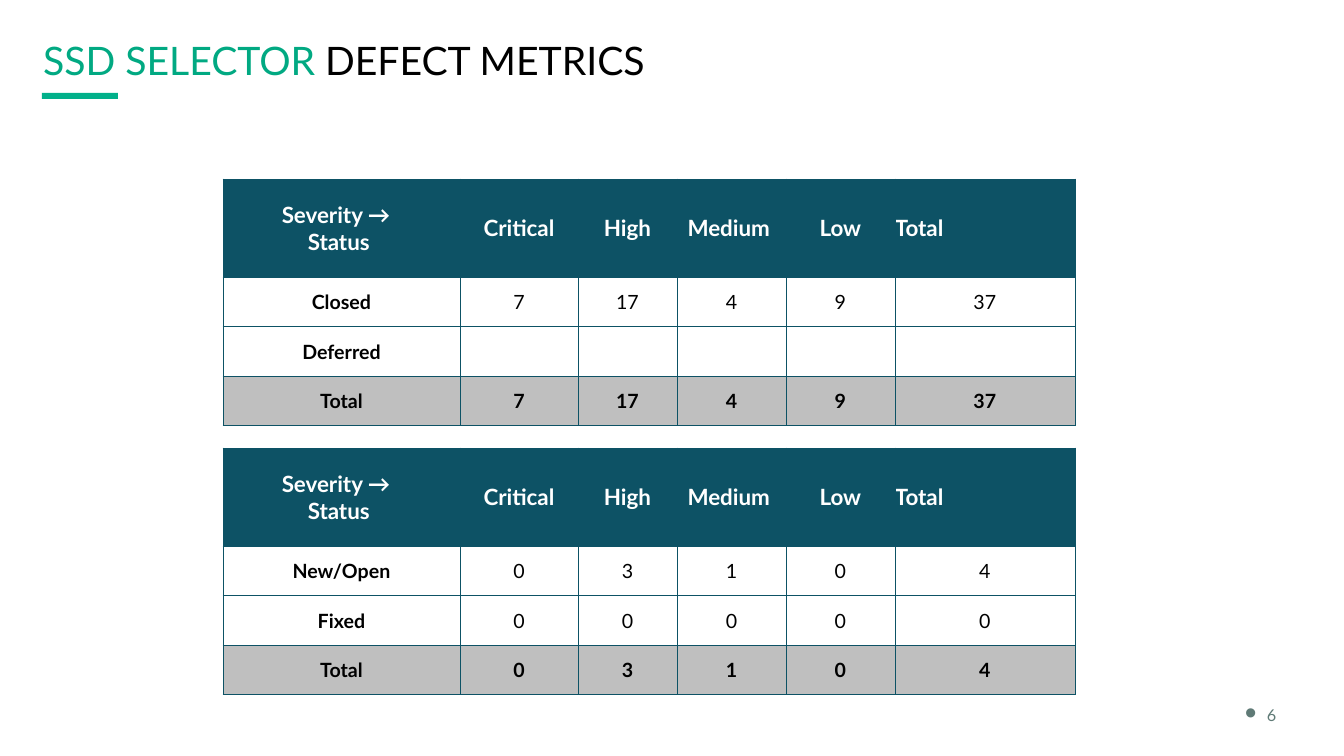
import pptx
import pptx.util
import pptx.dml.color
import pptx.enum.shapes
import pptx.enum.text
import pptx.oxml
import pptx.oxml.ns
import lxml.etree

COLORS = {
    "green": "01A982",
    "accent": "01B08A",
    "teal": "0D5265",
    "gray": "BFBFBF",
    "slate": "5F7A76",
    "white": "FFFFFF",
    "black": "000000",
}
FONT = "Lato"
TITLE = [("SSD SELECTOR ", "green"), ("DEFECT METRICS", "black")]
PAGE_NUMBER = "6"
HEADER = [["Severity →  ", "Status "], ["Critical"], ["High"], ["Medium "], ["Low"], ["Total"]]
TABLES = [
    (223, 179, [
        ["Closed", "7", "17", "4", "9", "37"],
        ["Deferred", "", "", "", "", ""],
        ["Total", "7", "17", "4", "9", "37"],
    ]),
    (223, 448, [
        ["New/Open", "0", "3", "1", "0", "4"],
        ["Fixed", "0", "0", "0", "0", "0"],
        ["Total", "0", "3", "1", "0", "4"],
    ]),
]
COLUMN_WIDTHS = [237, 118, 99, 109, 109, 180]
HEADER_HEIGHT = 98
ROW_HEIGHT = 49.5
ALIGN = pptx.enum.text.PP_ALIGN
MIDDLE = pptx.enum.text.MSO_ANCHOR.MIDDLE


def px(value):
    return pptx.util.Emu(round(value * 914400 / 100.8))


def color(name):
    return pptx.dml.color.RGBColor.from_string(COLORS[name])


def add_span(para, text, size, tint, bold=False):
    span = para.add_run()
    span.text = text
    span.font.name = FONT
    span.font.size = pptx.util.Pt(size)
    span.font.bold = bold
    span.font.color.rgb = color(tint)
    return span


def add_borders(cell):
    properties = cell._tc.get_or_add_tcPr()
    for index, side in enumerate(("lnL", "lnR", "lnT", "lnB")):
        line = pptx.oxml.parse_xml(
            f'<a:{side} {pptx.oxml.ns.nsdecls("a")} w="6350"><a:solidFill>'
            f'<a:srgbClr val="{COLORS["teal"]}"/></a:solidFill></a:{side}>')
        properties.insert(index, line)


def fill_cell(cell, lines, size, tint, bold, fill, align, inset):
    cell.vertical_anchor = MIDDLE
    cell.margin_left = cell.margin_right = cell.margin_top = px(inset)
    cell.margin_bottom = 0
    cell.fill.solid()
    cell.fill.fore_color.rgb = color(fill)
    add_borders(cell)
    for index, text in enumerate(lines):
        para = cell.text_frame.add_paragraph() if index else cell.text_frame.paragraphs[0]
        para.alignment = align
        if text:
            add_span(para, text, size, tint, bold)


def add_metrics(page, left, top, rows):
    height = HEADER_HEIGHT + ROW_HEIGHT * len(rows)
    table = page.shapes.add_table(len(rows) + 1, len(HEADER), px(left), px(top),
                                  px(sum(COLUMN_WIDTHS)), px(height)).table
    table.horz_banding = False
    for column, width in zip(table.columns, COLUMN_WIDTHS):
        column.width = px(width)
    for index, row in enumerate(table.rows):
        row.height = px(ROW_HEIGHT if index else HEADER_HEIGHT)
    last = len(HEADER) - 1
    for column, lines in enumerate(HEADER):
        align = ALIGN.LEFT if column == last else ALIGN.CENTER
        fill_cell(table.cell(0, column), lines, 16, "white", True, "teal", align, 0)
    for index, values in enumerate(rows, 1):
        is_total = index == len(rows)
        for column, value in enumerate(values):
            fill_cell(table.cell(index, column), [value], 14, "black",
                      is_total or column == 0, "gray" if is_total else "white",
                      ALIGN.CENTER, 1)


def add_title(page):
    title = page.shapes.title
    title.left, title.top, title.width, title.height = px(43), px(42), px(1259), px(47)
    frame = title.text_frame
    frame.margin_left = frame.margin_right = frame.margin_top = frame.margin_bottom = 0
    frame.vertical_anchor = pptx.enum.text.MSO_ANCHOR.TOP
    frame.auto_size = pptx.enum.text.MSO_AUTO_SIZE.NONE
    para = frame.paragraphs[0]
    para.alignment = ALIGN.LEFT
    para.line_spacing = 0.9
    for text, tint in TITLE:
        add_span(para, text, 28, tint)


def add_accent(page):
    bar = page.shapes.add_shape(pptx.enum.shapes.MSO_SHAPE.RECTANGLE,
                                px(42), px(93), px(76), px(6))
    bar.shadow.inherit = False
    bar.fill.solid()
    bar.fill.fore_color.rgb = color("accent")
    bar.line.fill.background()


def add_page_number(page):
    box = page.shapes.add_textbox(px(1235), px(695), px(76), px(40))
    box.text_frame.word_wrap = True
    box.text_frame.vertical_anchor = MIDDLE
    para = box.text_frame.paragraphs[0]
    para.line_spacing = 0.9
    properties = para._p.get_or_add_pPr()
    properties.set("marL", str(px(22)))
    properties.set("indent", str(px(-22)))
    for tag, name, value in (("a:buSzPct", "val", "120000"),
                             ("a:buFont", "typeface", "Arial"),
                             ("a:buChar", "char", "•")):
        mark = lxml.etree.SubElement(properties, pptx.oxml.ns.qn(tag))
        mark.set(name, value)
    span = add_span(para, PAGE_NUMBER, 20, "slate")
    span.font._element.set("baseline", "10000")


def main():
    deck = pptx.Presentation()
    deck.slide_width = px(1344)
    deck.slide_height = px(756)
    page = deck.slides.add_slide(deck.slide_layouts[5])
    add_accent(page)
    add_title(page)
    add_page_number(page)
    for left, top, rows in TABLES:
        add_metrics(page, left, top, rows)
    deck.save("out.pptx")


if __name__ == "__main__":
    main()
